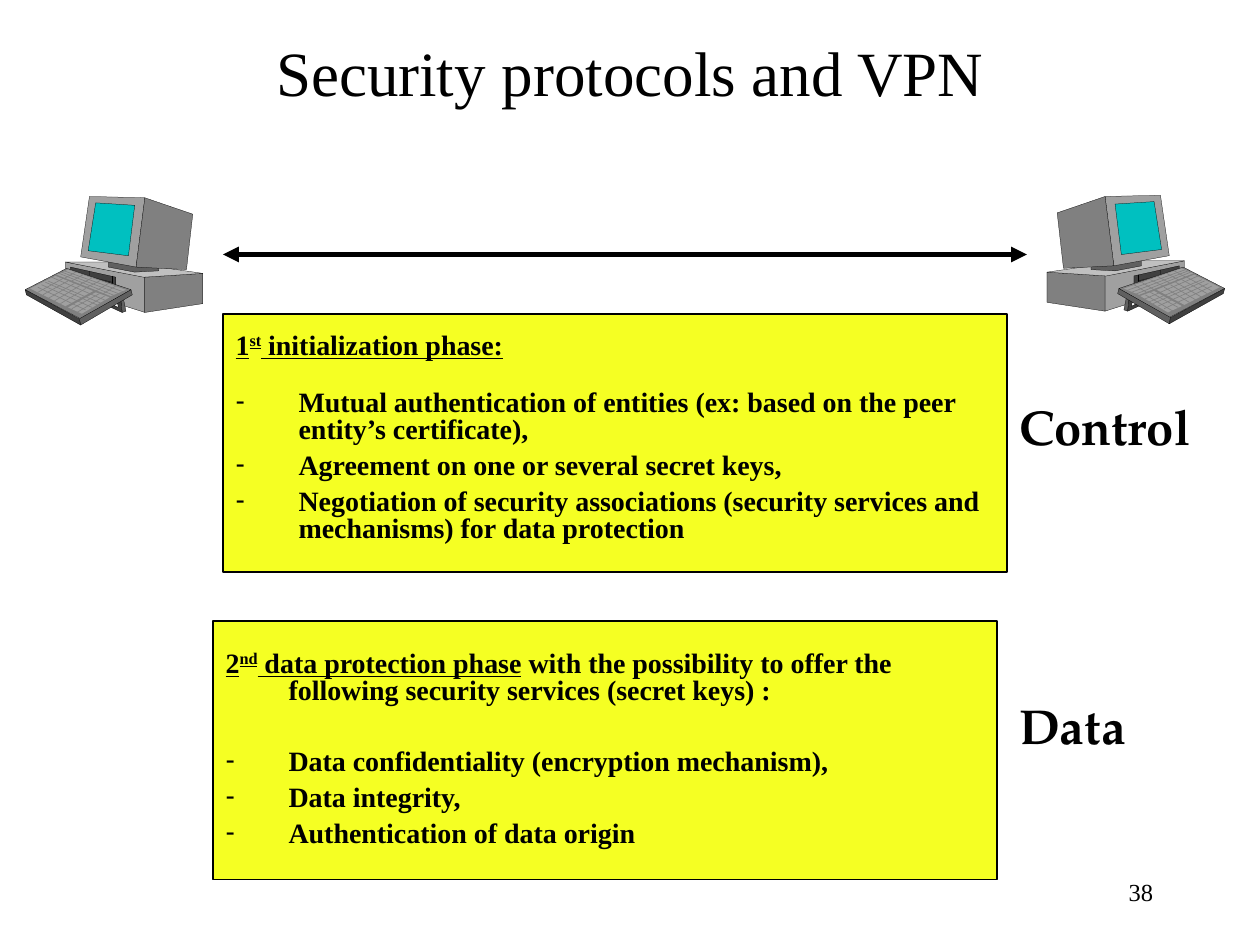
from lxml.etree import SubElement
from pptx import Presentation
from pptx.dml.color import RGBColor
from pptx.enum.shapes import MSO_CONNECTOR
from pptx.enum.text import MSO_ANCHOR, MSO_AUTO_SIZE, PP_ALIGN
from pptx.oxml.ns import qn
from pptx.util import Inches, Pt

BLACK = RGBColor(0x00, 0x00, 0x00)
YELLOW = RGBColor(0xF5, 0xFF, 0x23)
CYAN = RGBColor(0x00, 0xC0, 0xC0)
PALE = RGBColor(0xC0, 0xC0, 0xC0)
LIGHT = RGBColor(0xA0, 0xA0, 0xA0)
GRAY = RGBColor(0x80, 0x80, 0x80)
DIM = RGBColor(0x60, 0x60, 0x60)
DARK = RGBColor(0x40, 0x40, 0x40)
SERIF = "Times New Roman"
LABEL = "TeX Gyre Pagella"
HAIR = 0.13

# Computer: faces as (fill, points), lines as (x1, y1, x2, y2)
TOWER = [
    (LIGHT, [(1.15, 2.2), (1.15, 2.48), (0.52, 2.28), (0.52, 2.08)]),
    (GRAY, [(1.15, 2.2), (1.15, 2.48), (1.61, 2.41), (1.61, 2.17)]),
    (PALE, [(1.61, 2.17), (1.14, 2.2), (0.52, 2.08), (0.98, 2.08)]),
    (DIM, [(1.26, 2.11), (1.26, 2.15), (1.07, 2.16), (0.86, 2.12), (0.86, 2.05)]),
    (LIGHT, [(1.08, 2.12), (1.15, 1.57), (0.71, 1.56), (0.64, 2.04)]),
    (GRAY, [(1.15, 1.57), (1.53, 1.7), (1.48, 2.14), (1.08, 2.12)]),
    (CYAN, [(1.07, 1.63), (1.02, 2.03), (0.7, 1.99), (0.76, 1.61)]),
    (DARK, [(0.56, 2.12), (0.92, 2.2), (0.92, 2.39), (0.56, 2.27)]),
]
SLOTS = [(0.69, 2.21, 0.59, 2.19), (0.74, 2.22, 0.86, 2.25)]
SEAMS = [
    (0.71, 2.15, 0.72, 2.32), (0.89, 2.19, 0.89, 2.38),
    (0.57, 2.19, 0.89, 2.27), (0.89, 2.24, 0.56, 2.16),
]
BOARD = [
    (DIM, [(0.98, 2.37), (1, 2.47), (0.97, 2.48), (0.96, 2.38)]),
    (DARK, [(0.96, 2.39), (0.97, 2.48), (0.86, 2.43), (0.9, 2.42),
            (0.94, 2.44), (0.93, 2.39)]),
    (GRAY, [(1.04, 2.3), (0.64, 2.53), (0.2, 2.3), (0.53, 2.13)]),
    (DIM, [(1.04, 2.3), (0.63, 2.53), (0.64, 2.58), (1.05, 2.34)]),
    (DARK, [(0.64, 2.58), (0.63, 2.53), (0.2, 2.3), (0.21, 2.34)]),
]
PADS = [
    (LIGHT, [(0.87, 2.36), (0.76, 2.32), (0.54, 2.44), (0.65, 2.49)]),
    (LIGHT, [(0.74, 2.31), (0.52, 2.43), (0.24, 2.29), (0.44, 2.19)]),
    (LIGHT, [(0.88, 2.35), (1, 2.3), (0.54, 2.14), (0.45, 2.18)]),
]
KEYS = [
    # Long rows
    (0.99, 2.32, 0.51, 2.15), (0.94, 2.33, 0.49, 2.16), (0.92, 2.35, 0.47, 2.17),
    (0.85, 2.39, 0.41, 2.2), (0.81, 2.41, 0.38, 2.23), (0.77, 2.42, 0.36, 2.24),
    (0.73, 2.44, 0.33, 2.26), (0.68, 2.46, 0.3, 2.28),
    # Cross cuts
    (0.83, 2.35, 0.61, 2.48), (0.79, 2.33, 0.57, 2.45), (0.68, 2.29, 0.48, 2.41),
    (0.63, 2.27, 0.43, 2.39), (0.59, 2.25, 0.38, 2.37), (0.54, 2.23, 0.34, 2.34),
    (0.5, 2.21, 0.3, 2.32),
    # Top row cuts
    (0.92, 2.27, 0.82, 2.33), (0.86, 2.25, 0.76, 2.31), (0.79, 2.23, 0.69, 2.28),
    (0.74, 2.2, 0.63, 2.26), (0.66, 2.18, 0.57, 2.23), (0.6, 2.16, 0.51, 2.21),
]


def place(shape, left, top, width, height):
    shape.left, shape.top = Inches(left), Inches(top)
    shape.width, shape.height = Inches(width), Inches(height)


def style(para, size, name=SERIF, bold=False):
    font = para.font
    font.size, font.name, font.bold = Pt(size), name, bold
    font.color.rgb = BLACK


def add_line(shapes, ends, color, width):
    x1, y1, x2, y2 = map(Inches, ends)
    line = shapes.add_connector(MSO_CONNECTOR.STRAIGHT, x1, y1, x2, y2)
    line.line.color.rgb = color
    line.line.width = Pt(width)
    SubElement(line._element.spPr, qn("a:effectLst"))
    return line


def add_face(shapes, fill, points, edge):
    spots = [(Inches(x), Inches(y)) for x, y in points]
    path = shapes.build_freeform(*spots[0])
    path.add_line_segments(spots[1:], close=True)
    face = path.convert_to_shape()
    face.shadow.inherit = False
    face.fill.solid()
    face.fill.fore_color.rgb = fill
    if edge:
        face.line.color.rgb = BLACK
        face.line.width = Pt(HAIR)
    else:
        face.line.fill.background()


def add_host(slide, flip=False):
    """Draw a computer; flip turns it to face the other way."""
    def spot(x, y):
        return (9.92 - x, y - 0.01) if flip else (x, y)

    shapes = slide.shapes.add_group_shape().shapes

    def faces(parts, edge=True):
        for fill, points in parts:
            add_face(shapes, fill, [spot(*p) for p in points], edge)

    def lines(parts, color, width):
        for x1, y1, x2, y2 in parts:
            add_line(shapes, spot(x1, y1) + spot(x2, y2), color, width)

    faces(TOWER)
    lines(SLOTS, BLACK, 0.63)
    lines(SEAMS, BLACK, HAIR)
    faces(BOARD)
    faces(PADS, edge=False)
    lines(KEYS, GRAY, 0.38)


def add_arrow(slide, ends):
    arrow = add_line(slide.shapes, ends, BLACK, 3)
    stroke = arrow.line._get_or_add_ln()
    for tag in ("a:headEnd", "a:tailEnd"):
        SubElement(stroke, qn(tag)).set("type", "triangle")


def add_text(slide, box, text, size, name=SERIF, bold=False):
    shape = slide.shapes.add_textbox(*map(Inches, box))
    para = shape.text_frame.paragraphs[0]
    para.text = text
    style(para, size, name, bold)
    return shape


def set_para(para, mark, space, before):
    props = para._p.get_or_add_pPr()
    props.set("marL", str(Inches(0.5)))
    props.set("indent", str(-Inches(0.5)))
    if mark:
        SubElement(props, qn("a:buChar")).set("char", mark)
    else:
        SubElement(props, qn("a:buNone"))
    para.alignment = PP_ALIGN.LEFT
    para.line_spacing = space
    para.space_before, para.space_after = Pt(before), Pt(0)
    style(para, 16, bold=True)


def fill_phase(shape, box, head, items, space, gap):
    """Fill a body with a heading (number, ordinal, name, rest) and a list."""
    place(shape, *box)
    shape.fill.solid()
    shape.fill.fore_color.rgb = YELLOW
    shape.line.color.rgb = BLACK
    shape.line.width = Pt(1)
    frame = shape.text_frame
    frame.auto_size = MSO_AUTO_SIZE.NONE
    frame.vertical_anchor = MSO_ANCHOR.MIDDLE
    para = frame.paragraphs[0]
    set_para(para, None, space, 5.3)
    for i, text in enumerate(head):
        run = para.add_run()
        run.text = text
        run.font.underline = i < 3
        if i == 1:
            run._r.get_or_add_rPr().set("baseline", "30000")
    for i, text in enumerate(items):
        para = frame.add_paragraph()
        para.text = text
        set_para(para, "-", 0.8, 5.3 if i else gap)


def set_title(shape, text):
    place(shape, 0.75, 0.16, 8.5, 1.02)
    frame = shape.text_frame
    frame.auto_size = MSO_AUTO_SIZE.NONE
    frame.vertical_anchor = MSO_ANCHOR.TOP
    frame.margin_top = Inches(0.11)
    para = frame.paragraphs[0]
    para.text = text
    para.alignment = PP_ALIGN.CENTER
    style(para, 36)


def main():
    deck = Presentation()
    deck.slide_width, deck.slide_height = Inches(10), Inches(7.5)
    slide = deck.slides.add_slide(deck.slide_layouts[3])
    title, first, second = slide.placeholders
    set_title(title, "Security protocols and VPN")

    # Phases
    fill_phase(first, (1.77, 2.49, 6.22, 2.05),
               ("1", "st", " initialization phase:"),
               ("Mutual authentication of entities (ex: based on the peer "
                "entity’s certificate),",
                "Agreement on one or several secret keys,",
                "Negotiation of security associations (security services and "
                "mechanisms) for data protection"), 0.5, 18.5)
    fill_phase(second, (1.69, 4.93, 6.22, 2.05),
               ("2", "nd", " data protection phase",
                " with the possibility to offer the following security "
                "services (secret keys) :"),
               ("Data confidentiality (encryption mechanism),",
                "Data integrity,", "Authentication of data origin"), 0.8, 25.3)

    # Hosts and the link
    add_host(slide)
    add_host(slide, flip=True)
    add_arrow(slide, (1.77, 2.02, 8.15, 2.02))

    # Labels and page number
    add_text(slide, (7.99, 3.1, 1.57, 0.57), "Control", 28, LABEL, True)
    add_text(slide, (7.99, 5.47, 1.05, 0.57), "Data", 28, LABEL, True)
    page = add_text(slide, (7.17, 6.83, 2.08, 0.5), "38", 14).text_frame
    page.word_wrap = True
    page.vertical_anchor = MSO_ANCHOR.MIDDLE
    page.paragraphs[0].alignment = PP_ALIGN.RIGHT
    deck.save("out.pptx")


main()
